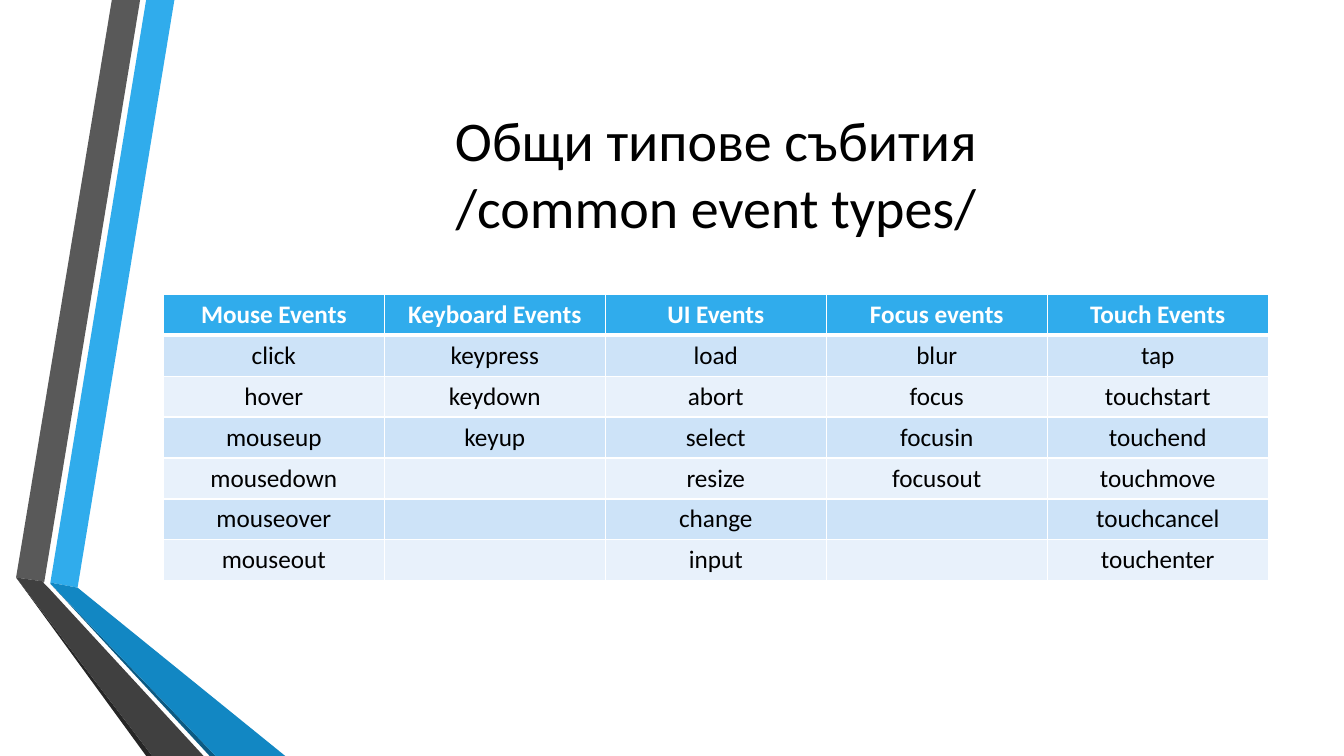
from dataclasses import dataclass

from lxml import etree
from pptx import Presentation
from pptx.dml.color import RGBColor
from pptx.enum.text import MSO_ANCHOR, PP_ALIGN
from pptx.oxml.ns import qn
from pptx.util import Inches, Pt

CENTER = PP_ALIGN.CENTER
MIDDLE = MSO_ANCHOR.MIDDLE

COLORS = {
    "blue": "30ACEC",
    "deep_blue": "1287C3",
    "navy": "0C5A82",
    "gray": "595959",
    "dark_gray": "404040",
    "charcoal": "262626",
    "band_dark": "CDE3F8",
    "band_light": "E8F1FB",
    "white": "FFFFFF",
    "black": "000000",
}

TITLE_FORMAT = {"name": "Calibri", "size": Pt(40), "bold": False}
HEADER_FORMAT = {"name": "Calibri", "size": Pt(18), "bold": True}
EVENT_FORMAT = {**HEADER_FORMAT, "bold": False}

LEFT, WIDTH = 1.62, 10.96
TABLE_TOP, ROW_HEIGHT = 2.92, 0.406


@dataclass(frozen=True)
class Ribbon:
    color: str
    points: tuple[tuple[float, float], ...]


@dataclass(frozen=True)
class EventGroup:
    heading: str
    events: tuple[str, ...]


RIBBONS = (
    Ribbon("blue", ((0.5, 5.78), (0.77, 5.83), (1.73, 0), (1.45, 0))),
    Ribbon("gray", ((1.39, 0), (1.11, 0), (0.16, 5.73), (0.44, 5.77))),
    Ribbon("charcoal", ((0.16, 5.73), (1.45, 7.5), (1.51, 7.5))),
    Ribbon("navy", ((0.5, 5.79), (2.08, 7.5), (2.14, 7.5))),
    Ribbon("deep_blue", ((0.5, 5.79), (2.14, 7.5), (2.83, 7.5), (0.77, 5.83), (0.5, 5.78))),
    Ribbon("dark_gray", ((2.02, 7.5), (0.48, 5.83), (0.43, 5.78), (0.44, 5.77),
                         (0.16, 5.73), (1.51, 7.5))),
)

EVENT_GROUPS = (
    EventGroup("Mouse Events",
               ("click", "hover", "mouseup", "mousedown", "mouseover", "mouseout")),
    EventGroup("Keyboard Events", ("keypress", "keydown", "keyup")),
    EventGroup("UI Events", ("load", "abort", "select", "resize", "change", "input")),
    EventGroup("Focus events", ("blur", "focus", "focusin", "focusout")),
    EventGroup("Touch Events",
               ("tap", "touchstart", "touchend", "touchmove", "touchcancel", "touchenter")),
)


def rgb(color: str) -> RGBColor:
    return RGBColor.from_string(COLORS[color])


def format_font(font, values: dict, color: str) -> None:
    for attribute, value in values.items():
        setattr(font, attribute, value)
    font.color.rgb = rgb(color)


def draw_ribbon(slide, ribbon: Ribbon) -> None:
    start, *rest = [(Inches(x), Inches(y)) for x, y in ribbon.points]
    builder = slide.shapes.build_freeform(*start)
    builder.add_line_segments(rest, close=True)
    band = builder.convert_to_shape()
    band.shadow.inherit = False
    band.fill.solid()
    band.fill.fore_color.rgb = rgb(ribbon.color)
    band.line.fill.background()


def draw_title(slide, lines: tuple[str, ...]) -> None:
    title = slide.shapes.add_textbox(Inches(LEFT), Inches(0.75), Inches(WIDTH), Inches(1.92))
    frame = title.text_frame
    frame.word_wrap = True
    frame.vertical_anchor = MIDDLE
    paragraph = frame.paragraphs[0]
    paragraph.alignment = CENTER
    for index, line in enumerate(lines):
        if index:
            paragraph.add_line_break()
        run = paragraph.add_run()
        run.text = line
        format_font(run.font, TITLE_FORMAT, "black")


def set_borders(cell, widths: dict[str, int]) -> None:
    properties = cell._tc.get_or_add_tcPr()
    for side, width in widths.items():
        border = etree.SubElement(properties, qn(f"a:{side}"), w=str(Pt(width)))
        fill = etree.SubElement(border, qn("a:solidFill"))
        etree.SubElement(fill, qn("a:srgbClr"), val=COLORS["white"])


def fill_cell(cell, text: str, row: int) -> None:
    # The heavier rule separates the headings from the events
    set_borders(cell, {"lnL": 1, "lnR": 1,
                       "lnT": 3 if row == 1 else 1,
                       "lnB": 3 if row == 0 else 1})
    if row == 0:
        background, color, values = "blue", "white", HEADER_FORMAT
    else:
        background = "band_dark" if row % 2 else "band_light"
        color, values = "black", EVENT_FORMAT
    cell.fill.solid()
    cell.fill.fore_color.rgb = rgb(background)
    paragraph = cell.text_frame.paragraphs[0]
    paragraph.alignment = CENTER
    if text:
        run = paragraph.add_run()
        run.text = text
        format_font(run.font, values, color)


def draw_event_table(slide, groups: tuple[EventGroup, ...]) -> None:
    row_count = 1 + max(len(group.events) for group in groups)
    table = slide.shapes.add_table(
        row_count, len(groups), Inches(LEFT), Inches(TABLE_TOP),
        Inches(WIDTH), Inches(ROW_HEIGHT * row_count)).table
    for column, group in enumerate(groups):
        texts = (group.heading, *group.events)
        for row in range(row_count):
            text = texts[row] if row < len(texts) else ""
            fill_cell(table.cell(row, column), text, row)


def main() -> None:
    presentation = Presentation()
    presentation.slide_width = Inches(13.33)
    presentation.slide_height = Inches(7.5)
    slide = presentation.slides.add_slide(presentation.slide_layouts[6])

    # Folded ribbons along the left edge
    for ribbon in RIBBONS:
        draw_ribbon(slide, ribbon)

    # Title and table of events
    draw_title(slide, ("Общи типове събития", "/common event types/"))
    draw_event_table(slide, EVENT_GROUPS)

    presentation.save("out.pptx")


if __name__ == "__main__":
    main()
